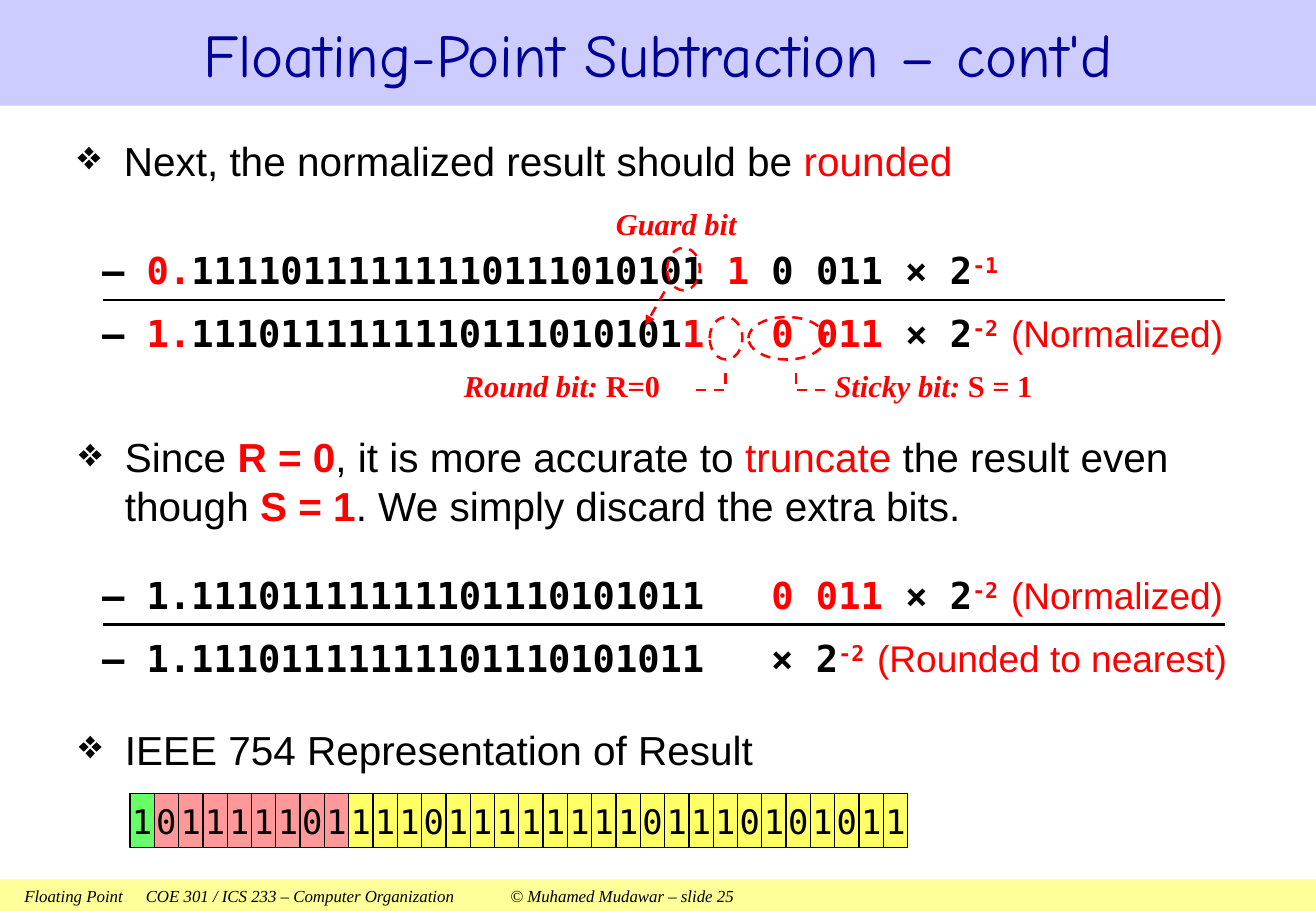
"""Build the slide on rounding the result of a floating-point subtraction."""
import pptx
import pptx.dml.color
import pptx.enum.dml
import pptx.enum.shapes
import pptx.enum.text
import pptx.oxml
import pptx.oxml.ns
import pptx.util

Inches = pptx.util.Inches
Pt = pptx.util.Pt
SHAPE = pptx.enum.shapes.MSO_SHAPE
ALIGN = pptx.enum.text.PP_ALIGN
ANCHOR = pptx.enum.text.MSO_ANCHOR

COLORS = {
    "black": "000000", "white": "FFFFFF", "red": "FF0000", "navy": "000099",
    "lavender": "CCCCFF", "cream": "FFFF99",
    "sign": "66FF66", "exponent": "FF9999", "fraction": "FFFF66",
}
SANS, MONO, SERIF, HAND = "Arial", "DejaVu Sans Mono", "Times New Roman", "Comic Neue"
NOTE = {"font": SANS, "bold": False}
POWER = {"raised": True}
BOLD = {"bold": True}
UPRIGHT = {"italic": False}


class SlideBuilder:
    """Hold the style and the current slide, with a method per kind of element."""

    def __init__(self, deck):
        self.slide = deck.slides.add_slide(deck.slide_layouts[5])
        self.shapes = self.slide.shapes

    def color(self, name):
        return pptx.dml.color.RGBColor.from_string(COLORS[name])

    def fill(self, shape, name):
        if name:
            shape.fill.solid()
            shape.fill.fore_color.rgb = self.color(name)
        else:
            shape.fill.background()

    def outline(self, line, name, width=1.5, dashed=False):
        if not name:
            line.fill.background()
            return
        line.color.rgb = self.color(name)
        line.width = Pt(width)
        if dashed:
            line.dash_style = pptx.enum.dml.MSO_LINE.DASH

    def frame(self, shape, inset=True, anchor=ANCHOR.TOP):
        frame = shape.text_frame
        frame.word_wrap = True
        frame.auto_size = pptx.enum.text.MSO_AUTO_SIZE.NONE
        frame.vertical_anchor = anchor
        frame.margin_left = frame.margin_right = Inches(0.1 if inset else 0)
        frame.margin_top = frame.margin_bottom = Inches(0.05 if inset else 0)
        return frame

    def add_runs(self, paragraph, runs, size, font, align=ALIGN.LEFT, **base):
        paragraph.alignment = align
        for text, color, *changes in runs:
            style = {"font": font, **base, **(changes[0] if changes else {})}
            run = paragraph.add_run()
            run.text = text
            run.font.size = Pt(size)
            run.font.name = style["font"]
            run.font.bold = style.get("bold", False)
            run.font.italic = style.get("italic", False)
            run.font.color.rgb = self.color(color)
            if style.get("raised"):
                run._r.get_or_add_rPr().set("baseline", "30000")

    def title(self, text, box):
        title = self.shapes.title
        title.left, title.top, title.width, title.height = map(Inches, box)
        self.fill(title, "lavender")
        heading = self.frame(title, anchor=ANCHOR.MIDDLE).paragraphs[0]
        self.add_runs(heading, [(text, "navy")], 36, HAND, ALIGN.CENTER)

    def text(self, box, lines, size, font, inset=True, **base):
        frame = self.frame(self.shapes.add_textbox(*map(Inches, box)), inset)
        for index, runs in enumerate(lines):
            paragraph = frame.add_paragraph() if index else frame.paragraphs[0]
            if index:
                paragraph.space_before = Pt(size / 2)
            self.add_runs(paragraph, runs, size, font, **base)
        return frame

    def bullet(self, box, runs, spacing=1.0):
        paragraph = self.text(box, [runs], 24, SANS).paragraphs[0]
        paragraph.line_spacing = spacing
        properties = paragraph._p.get_or_add_pPr()
        properties.set("marL", str(Inches(0.38)))
        properties.set("indent", str(-Inches(0.38)))
        properties.append(pptx.oxml.parse_xml(
            f'<a:buChar {pptx.oxml.ns.nsdecls("a")} char="❖"/>'))

    def shape(self, kind, box, fill=None, line=None, width=1.5, dashed=False):
        shape = self.shapes.add_shape(kind, *map(Inches, box))
        shape.shadow.inherit = False
        self.fill(shape, fill)
        self.outline(shape.line, line, width, dashed)
        return shape

    def label(self, shape, text, color, size, font, **base):
        paragraph = self.frame(shape, False, ANCHOR.MIDDLE).paragraphs[0]
        self.add_runs(paragraph, [(text, color)], size, font, ALIGN.CENTER, **base)

    def connector(self, start, end, color="black", dashed=False, arrow=False):
        line = self.shapes.add_connector(
            pptx.enum.shapes.MSO_CONNECTOR.STRAIGHT, *map(Inches, start + end))
        self.outline(line.line, color, dashed=dashed)
        namespace = pptx.oxml.ns.nsdecls("a")
        if arrow:
            line.line._get_or_add_ln().append(
                pptx.oxml.parse_xml(f'<a:tailEnd {namespace} type="triangle"/>'))
        line._element.spPr.append(pptx.oxml.parse_xml(f"<a:effectLst {namespace}/>"))

    def elbow(self, *points):
        start, *rest = [tuple(map(Inches, point)) for point in points]
        builder = self.shapes.build_freeform(*start)
        builder.add_line_segments(rest, close=False)
        elbow = builder.convert_to_shape()
        elbow.shadow.inherit = False
        self.fill(elbow, None)
        self.outline(elbow.line, "red", dashed=True)


deck = pptx.Presentation()
deck.slide_width, deck.slide_height = Inches(10.83), Inches(7.5)
page = SlideBuilder(deck)

footer = page.shape(SHAPE.RECTANGLE, (0, 7.24, 10.83, 0.26), "cream")
credit = page.frame(footer)
credit.margin_left = Inches(0.2)
page.add_runs(credit.paragraphs[0], [(
    "Floating Point\tCOE 301 / ICS 233 – Computer Organization"
    "\t© Muhamed Mudawar – slide 25", "black")], 10, SERIF, italic=True)

page.title("Floating-Point Subtraction – cont'd", (0, 0, 10.83, 0.87))

page.bullet((0.54, 1.03, 9.75, 0.74), [
    ("Next, the normalized result should be ", "black"), ("rounded", "red")], 1.1)

page.text((0.84, 2.04, 9.7, 0.93), [
    [("– ", "black"), ("0.", "red"), ("11110111111110111010101 ", "black"),
     ("1", "red"), (" 0 011 × 2", "black"), ("-1", "red", POWER)],
    [("– ", "black"), ("1.", "red"), ("1110111111110111010101", "black"),
     ("1   0 011", "red"), (" × 2", "black"), ("-2 ", "red", POWER),
     ("(Normalized)", "red", NOTE)],
], 22, MONO, inset=False, bold=True)
page.connector((0.85, 2.47), (10.08, 2.47))

guard = page.shape(SHAPE.RECTANGLE, (4.87, 1.71, 1.39, 0.25), "white")
page.label(guard, "Guard bit", "red", 18, SERIF, bold=True, italic=True)
for left, top, width in [(5.49, 2.04, 0.27), (5.84, 2.61, 0.27), (6.16, 2.61, 0.63)]:
    page.shape(SHAPE.OVAL, (left, top, width, 0.35), line="red", dashed=True)
page.connector((5.47, 2.4), (5.31, 2.68), "red", dashed=True, arrow=True)

for left, width, name, value, outer, inner in [
        (3.72, 2.06, "Round bit: ", "R=0", 5.73, 5.97),
        (6.77, 2.17, "Sticky bit: ", "S = 1", 6.79, 6.55)]:
    page.text((left, 2.97, width, 0.4), [[(name, "red"), (value, "red", UPRIGHT)]],
              18, SERIF, bold=True, italic=True)
    page.elbow((outer, 3.21), (inner, 3.21), (inner, 3.02))

page.bullet((0.55, 3.51, 9.75, 0.94), [
    ("Since ", "black"), ("R = 0", "red", BOLD),
    (", it is more accurate to ", "black"), ("truncate", "red"),
    (" the result even though ", "black"), ("S = 1", "red", BOLD),
    (". We simply discard the extra bits.", "black")])

fraction = "11101111111101110101011"
page.text((0.84, 4.71, 9.57, 0.93), [
    [(f"– 1.{fraction}   ", "black"), ("0 011", "red"), (" × 2", "black"),
     ("-2 ", "red", POWER), ("(Normalized)", "red", NOTE)],
    [(f"– 1.{fraction}   × 2", "black"), ("-2 ", "red", POWER),
     ("(Rounded to nearest)", "red", NOTE)],
], 22, MONO, inset=False, bold=True)
page.connector((0.85, 5.14), (10.08, 5.14))

page.bullet((0.55, 5.92, 9.75, 0.47), [("IEEE 754 Representation of Result", "black")])

fields = [("sign", "1"), ("exponent", "01111101"), ("fraction", fraction)]
bits = [(field, bit) for field, digits in fields for bit in digits]
for index, (field, bit) in enumerate(bits):
    cell = page.shape(SHAPE.RECTANGLE, (1.07 + 0.2 * index, 6.53, 0.2, 0.45),
                      field, "black", 0.75)
    page.label(cell, bit, "black", 20, MONO)

deck.save("out.pptx")
